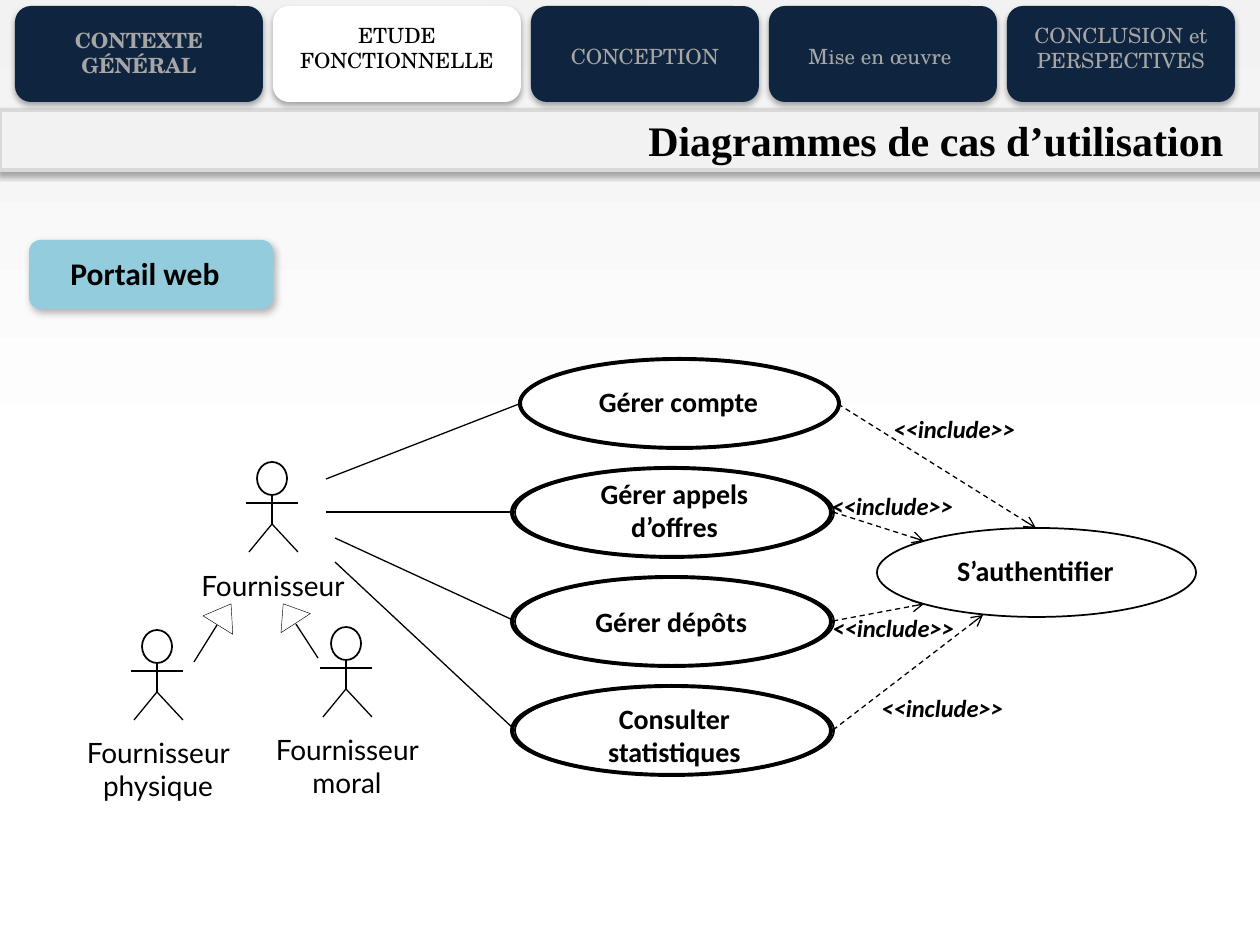
from lxml import etree
from pptx import Presentation
from pptx.dml.color import RGBColor
from pptx.enum.dml import MSO_LINE
from pptx.enum.shapes import MSO_CONNECTOR, MSO_SHAPE
from pptx.enum.text import MSO_ANCHOR, PP_ALIGN
from pptx.oxml.ns import qn
from pptx.util import Emu, Pt

RECT, ROUND = MSO_SHAPE.RECTANGLE, MSO_SHAPE.ROUNDED_RECTANGLE
OVAL, TRIANGLE = MSO_SHAPE.OVAL, MSO_SHAPE.ISOSCELES_TRIANGLE
STRAIGHT, DASH = MSO_CONNECTOR.STRAIGHT, MSO_LINE.DASH
LEFT, CENTER, RIGHT = PP_ALIGN.LEFT, PP_ALIGN.CENTER, PP_ALIGN.RIGHT
TOP, MIDDLE = MSO_ANCHOR.TOP, MSO_ANCHOR.MIDDLE

BLACK, WHITE, NAVY, GRAY = "000000", "FFFFFF", "0F243E", "A6A6A6"
OVAL_W, OVAL_H = 319, 89
SOFT, SLANTED = (32, 3.5, 2.2, 90), (30, 4.5, 2.6, 53)


def px(n):
    return Emu(round(n * 914400 / 126))


def rgb(value):
    return RGBColor.from_string(value)


def add_shadow(sp, alpha, blur, dist, angle):
    effects = sp._element.spPr.find(qn("a:effectLst"))
    outer = etree.SubElement(effects, qn("a:outerShdw"), blurRad=str(Pt(blur)),
                             dist=str(Pt(dist)), dir=str(angle * 60000),
                             algn="ctr", rotWithShape="0")
    color = etree.SubElement(outer, qn("a:srgbClr"), val=BLACK)
    etree.SubElement(color, qn("a:alpha"), val=str(alpha * 1000))


def add_shape(s, kind, x, y, w, h, fill=None, line=None, width=1, shadow=None, rotation=0):
    sp = s.shapes.add_shape(kind, px(x), px(y), px(w), px(h))
    sp.rotation = rotation
    sp.shadow.inherit = False
    if fill:
        sp.fill.solid()
        sp.fill.fore_color.rgb = rgb(fill)
    else:
        sp.fill.background()
    if line:
        sp.line.color.rgb = rgb(line)
        sp.line.width = Pt(width)
    else:
        sp.line.fill.background()
    if shadow:
        add_shadow(sp, *shadow)
    return sp


def add_line(s, x1, y1, x2, y2, arrow=False):
    c = s.shapes.add_connector(STRAIGHT, px(x1), px(y1), px(x2), px(y2))
    c.line.color.rgb = rgb(BLACK)
    c.line.width = Pt(0.75)
    if arrow:
        c.line.dash_style = DASH
        etree.SubElement(c.line._get_or_add_ln(), qn("a:tailEnd"), type="arrow")
    etree.SubElement(c._element.spPr, qn("a:effectLst"))


def set_text(sp, text, size=16, font="Calibri", color=BLACK, bold=False,
             italic=False, align=CENTER, anchor=TOP):
    tf = sp.text_frame
    tf.word_wrap = True
    tf.vertical_anchor = anchor
    p = tf.paragraphs[0]
    p.alignment = align
    r = p.add_run()
    r.text = text
    r.font.size, r.font.name = Pt(size), font
    r.font.bold, r.font.italic = bold, italic
    r.font.color.rgb = rgb(color)


def add_text(s, text, x, y, w, h, **fmt):
    set_text(s.shapes.add_textbox(px(x), px(y), px(w), px(h)), text, **fmt)


def add_actor(s, cx, y, label, label_x, label_y):
    add_shape(s, OVAL, cx - 15, y, 30, 33, WHITE, BLACK)
    for x1, y1, x2, y2 in ((0, 33, 0, 62), (0, 62, 26, 90), (0, 62, -23, 90), (-26, 41, 26, 41)):
        add_line(s, cx + x1, y + y1, cx + x2, y + y2)
    add_text(s, label, label_x, label_y, 208, 81, font="Lato")


def add_background(s):
    fill = s.background.fill
    fill.gradient()
    fill.gradient_angle = 270
    for stop, color, position in zip(fill.gradient_stops, ("F2F2F2", WHITE), (0, 0.5)):
        stop.color.rgb = rgb(color)
        stop.position = position


def add_title(s, text):
    title = s.shapes.title
    title.left, title.top, title.width, title.height = px(353), px(108), px(883), px(63)
    set_text(title, text, size=24, font="Times New Roman", bold=True, align=RIGHT, anchor=MIDDLE)
    s.shapes._spTree.append(title._element)


def add_tabs(s):
    tabs = [("CONTEXTE GÉNÉRAL", 248, 29, 21), ("ETUDE FONCTIONNELLE", 248, 10, 16),
            ("CONCEPTION", 228, 0, 37), ("Mise en œuvre ", 228, 0, 37),
            ("CONCLUSION et PERSPECTIVES", 228, 0, 16)]
    x = 15
    for i, (text, w, inset, y) in enumerate(tabs):
        active = i == 1
        add_shape(s, ROUND, x, 6, w, 96, WHITE if active else NAVY, shadow=SOFT)
        add_text(s, text, x + inset, y, w - 2 * inset, 64, size=12, font="TeX Gyre Schola",
                 color=BLACK if active else GRAY, bold=i == 0)
        x += w + 10


def add_use_cases(s):
    cases = [("Gérer compte", 519, 520, 378), ("Gérer appels d’offres", 515, 512, 470),
             ("Gérer dépôts ", 515, 512, 598), ("Consulter statistiques", 515, 512, 695)]
    for i, (text, x, outline_x, text_y) in enumerate(cases):
        y = 359 + 109 * i
        add_shape(s, OVAL, x, y, OVAL_W, OVAL_H, WHITE, BLACK)
        add_shape(s, OVAL, outline_x, y, OVAL_W, OVAL_H, line=BLACK, width=2.25)
        add_text(s, text, x + 40, text_y, 239, 81, bold=True)
    add_shape(s, OVAL, 877, 528, OVAL_W, OVAL_H, WHITE, BLACK)
    add_text(s, "S’authentifier", 916, 547, 239, 47, bold=True)


def add_links(s):
    for ends in ((326, 479, 519, 404), (326, 512, 515, 512),
                 (335, 538, 515, 621), (335, 562, 515, 730)):
        add_line(s, *ends)
    for ends in ((838, 404, 1036, 528), (833, 512, 924, 541),
                 (833, 621, 924, 604), (833, 730, 983, 615)):
        add_line(s, *ends, arrow=True)
    for x, y in ((881, 408), (819, 485), (820, 607), (869, 687)):
        add_text(s, "<<include>>", x, y, 217, 43, size=14, bold=True, italic=True, align=LEFT)


def add_inheritance(s):
    for x, h, rotation, ends in ((207, 25, 31.9, (217, 625, 194, 662)),
                                 (272, 23, 327, (296, 624, 318, 658))):
        add_shape(s, TRIANGLE, x, 602, 35, h, WHITE, BLACK, 0.25, rotation=rotation)
        add_line(s, *ends)


def main():
    prs = Presentation()
    prs.slide_width, prs.slide_height = px(1260), px(945)
    s = prs.slides.add_slide(prs.slide_layouts[5])
    add_background(s)
    add_shape(s, RECT, 0, 110, 1260, 60, "F2F2F2", "D9D9D9", 2, SOFT)
    add_tabs(s)
    add_title(s, "Diagrammes de cas d’utilisation")
    add_shape(s, ROUND, 29, 240, 244, 69, "93CDDD", shadow=SLANTED)
    add_text(s, "Portail web", 29, 248, 232, 50, size=18, bold=True)
    add_use_cases(s)
    add_actor(s, 272, 462, "Fournisseur", 169, 562)
    add_actor(s, 157, 630, "Fournisseur physique", 54, 729)
    add_actor(s, 346, 627, "Fournisseur moral", 243, 726)
    add_inheritance(s)
    add_links(s)
    prs.save("out.pptx")


if __name__ == "__main__":
    main()
